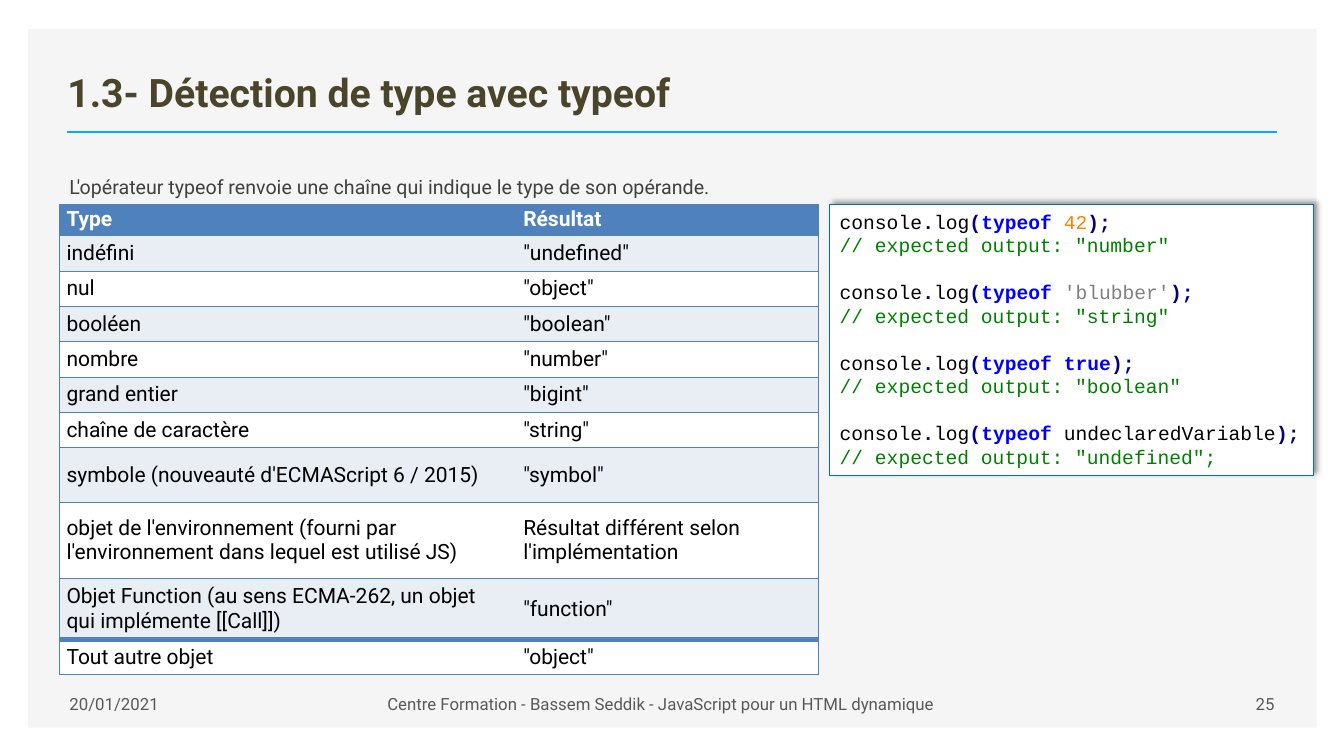
"""Build the slide on type detection with typeof."""
from lxml.etree import SubElement
from pptx import Presentation
from pptx.dml.color import RGBColor
from pptx.enum.shapes import MSO_CONNECTOR, MSO_SHAPE
from pptx.enum.text import MSO_ANCHOR, PP_ALIGN
from pptx.oxml.ns import qn
from pptx.util import Pt

EMU_PER_PX = 9144
COLORS = {
    "panel": "F5F5F5", "rule": "00B0F0", "title": "4A452A", "body": "404040",
    "footer": "595959", "header": "4F81BD", "band": "E9EDF4", "white": "FFFFFF",
    "black": "000000", "code_border": "0070C0", "punctuation": "000080",
    "keyword": "0000FF", "number": "FF8000", "string": "808080", "comment": "008000",
}
TYPES = [
    ("Type", "Résultat", 31),
    ("indéfini", '"undefined"', 35),
    ("nul", '"object"', 35),
    ("booléen", '"boolean"', 35),
    ("nombre", '"number"', 35),
    ("grand entier", '"bigint"', 35),
    ("chaîne de caractère", '"string"', 35),
    ("symbole (nouveauté d'ECMAScript 6 / 2015)", '"symbol"', 54),
    ("objet de l'environnement (fourni par l'environnement dans lequel est utilisé JS)",
     "Résultat différent selon l'implémentation", 76),
    ("Objet Function (au sens ECMA-262, un objet qui implémente [[Call]])", '"function"', 59),
    ("Tout autre objet", '"object"', 35),
]
EXAMPLES = [
    ("42", "number", '// expected output: "number"'),
    ("'blubber'", "string", '// expected output: "string"'),
    ("true", "keyword", '// expected output: "boolean"'),
    ("undeclaredVariable", "black", '// expected output: "undefined";'),
]
FOOTER = [
    ("20/01/2021", 59, 168, PP_ALIGN.LEFT),
    ("Centre Formation - Bassem Seddik - JavaScript pour un HTML dynamique",
     227, 857, PP_ALIGN.CENTER),
    ("25", 1084, 190, PP_ALIGN.RIGHT),
]


def px(length):
    return length * EMU_PER_PX


def rgb(name):
    return RGBColor.from_string(COLORS[name])


def write(paragraph, text, size=14, color="black", bold=False, font="Roboto"):
    run = paragraph.add_run()
    run.text = text
    run.font.name = font
    run.font.size = Pt(size)
    run.font.bold = bold
    run.font.color.rgb = rgb(color)


class Deck:
    def __init__(self):
        self.presentation = Presentation()
        self.presentation.slide_width = px(1333)
        self.presentation.slide_height = px(750)
        self.slide = self.presentation.slides.add_slide(self.presentation.slide_layouts[6])

    def box(self, left, top, width, height, fill, border=None):
        panel = self.slide.shapes.add_shape(
            MSO_SHAPE.RECTANGLE, px(left), px(top), px(width), px(height))
        panel.shadow.inherit = False
        panel.fill.solid()
        panel.fill.fore_color.rgb = rgb(fill)
        if border:
            panel.line.color.rgb = rgb(border)
            panel.line.width = Pt(0.75)
        else:
            panel.line.fill.background()
        return panel

    def rule(self, left, top, right, color, width):
        line = self.slide.shapes.add_connector(
            MSO_CONNECTOR.STRAIGHT, px(left), px(top), px(right), px(top))
        line.line.color.rgb = rgb(color)
        line.line.width = Pt(width)
        SubElement(line._element.spPr, qn("a:effectLst"))

    def text(self, text, left, top, width, height, anchor=MSO_ANCHOR.TOP,
             align=PP_ALIGN.LEFT, spacing=1.0, **style):
        frame = self.slide.shapes.add_textbox(
            px(left), px(top), px(width), px(height)).text_frame
        frame.word_wrap = True
        frame.vertical_anchor = anchor
        paragraph = frame.paragraphs[0]
        paragraph.alignment = align
        paragraph.line_spacing = spacing
        write(paragraph, text, **style)

    def borders(self, cell, widths):
        properties = cell._tc.get_or_add_tcPr()
        for index, side in enumerate("LRTB"):
            edge = SubElement(properties, qn(f"a:ln{side}"))
            properties.insert(index, edge)
            if side in widths:
                edge.set("w", str(Pt(widths[side])))
                fill = SubElement(edge, qn("a:solidFill"))
                SubElement(fill, qn("a:srgbClr"), val=COLORS["header"])
            else:
                edge.set("w", "0")
                SubElement(edge, qn("a:noFill"))

    def table(self, rows, left, top, column_widths):
        height = sum(row[-1] for row in rows)
        grid = self.slide.shapes.add_table(
            len(rows), len(column_widths), px(left), px(top),
            px(sum(column_widths)), px(height)).table
        grid.first_row = grid.horz_banding = False
        for column, width in zip(grid.columns, column_widths):
            column.width = px(width)
        for number, (*labels, row_height) in enumerate(rows):
            grid.rows[number].height = px(row_height)
            heading = number == 0
            fill = "header" if heading else "band" if number % 2 else "white"
            top_width = 4 if number == len(rows) - 1 else 1
            for column, (label, side) in enumerate(zip(labels, "LR")):
                cell = grid.cell(number, column)
                cell.vertical_anchor = MSO_ANCHOR.MIDDLE
                cell.margin_left = cell.margin_right = px(7)
                cell.margin_top = px(2 if heading else 5)
                cell.margin_bottom = px(4 if heading else 5)
                cell.fill.solid()
                cell.fill.fore_color.rgb = rgb(fill)
                write(cell.text_frame.paragraphs[0], label, size=15, bold=heading,
                      color="white" if heading else "black")
                self.borders(cell, {side: 1, "T": top_width, "B": 1})

    def code(self, examples, left, top, width, height):
        listing = self.box(left, top, width, height, "white", "code_border")
        effects = listing._element.spPr.find(qn("a:effectLst"))
        shadow = SubElement(effects, qn("a:outerShdw"), blurRad=str(Pt(4)),
                            dist=str(Pt(3)), dir="18900000", algn="bl", rotWithShape="0")
        tint = SubElement(shadow, qn("a:srgbClr"), val=COLORS["black"])
        SubElement(tint, qn("a:alpha"), val="40000")
        frame = listing.text_frame
        frame.word_wrap = True
        frame.vertical_anchor = MSO_ANCHOR.TOP
        line_height = Pt(16.8)
        for number, (operand, kind, comment) in enumerate(examples):
            call = frame.add_paragraph() if number else frame.paragraphs[0]
            if number:
                call.space_before = line_height
            tokens = [("console", "black"), (".", "punctuation"), ("log", "black"),
                      ("(", "punctuation"), ("typeof", "keyword"), (" ", "black"),
                      (operand, kind), (");", "punctuation")]
            for token, color in tokens:
                write(call, token, color=color, font="Courier New",
                      bold=color in ("punctuation", "keyword"))
            output = frame.add_paragraph()
            write(output, comment, color="comment", font="Courier New")
            for paragraph in (call, output):
                paragraph.alignment = PP_ALIGN.LEFT
                paragraph.line_spacing = line_height


def main():
    deck = Deck()
    deck.box(28, 29, 1278, 693, "panel")
    deck.rule(66, 131, 1267, "rule", 2)
    deck.text("1.3- Détection de type avec typeof", 57, 49, 1201, 70,
              anchor=MSO_ANCHOR.BOTTOM, size=28, color="title", bold=True)
    deck.text("L'opérateur typeof renvoie une chaîne qui indique le type de son opérande.",
              59, 157, 1025, 40, spacing=1.5, color="body")
    for label, left, width, align in FOOTER:
        deck.text(label, left, 678, width, 40, anchor=MSO_ANCHOR.MIDDLE,
                  align=align, size=12, color="footer")
    deck.table(TYPES, 59, 203, (453, 300))
    deck.code(EXAMPLES, 823, 203, 480, 269)
    deck.presentation.save("out.pptx")


if __name__ == "__main__":
    main()
